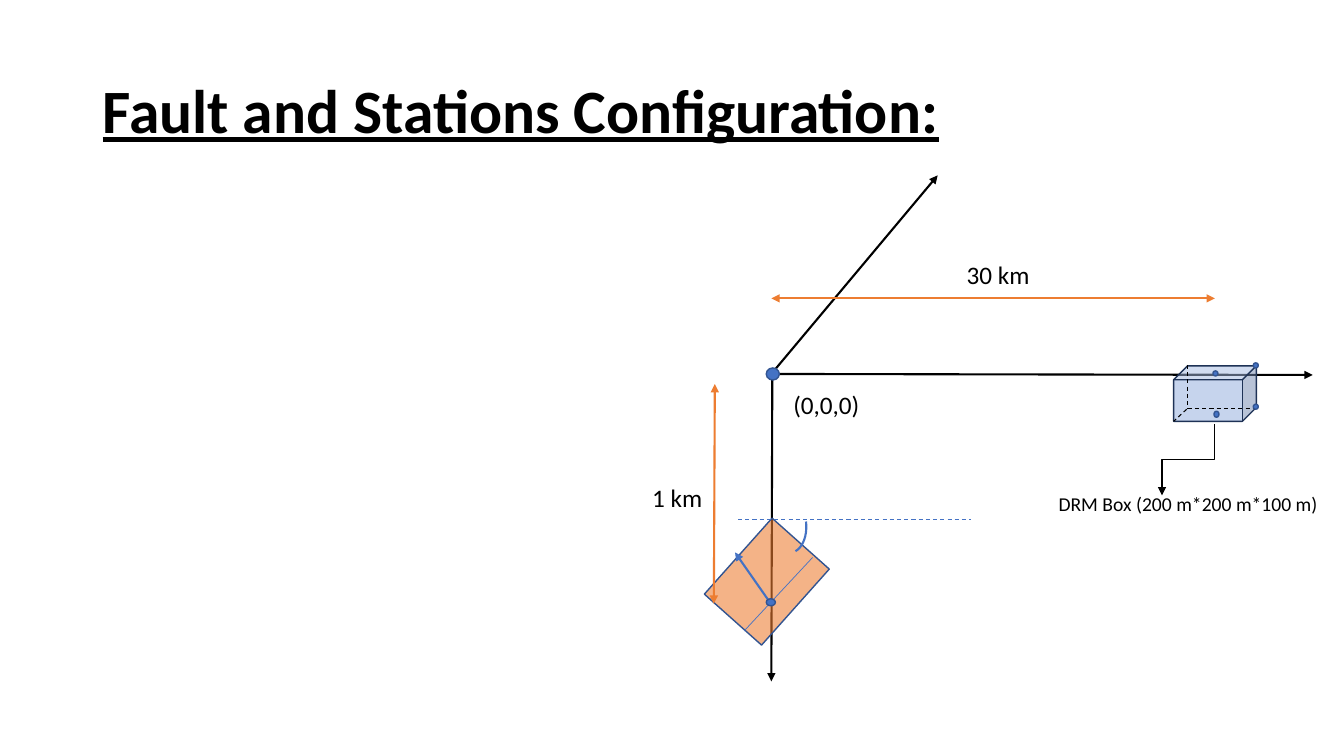
from lxml import etree
from pptx import Presentation
from pptx import util as u
from pptx.dml.color import RGBColor
from pptx.enum import dml, shapes, text
from pptx.oxml.ns import qn

BLACK = RGBColor(0x00, 0x00, 0x00)
BLUE = RGBColor(0x44, 0x72, 0xC4)
DARK_BLUE = RGBColor(0x32, 0x54, 0x91)
NAVY = RGBColor(0x1E, 0x32, 0x56)
PALE_BLUE = RGBColor(0x8F, 0xAA, 0xDC)
ORANGE = RGBColor(0xED, 0x7D, 0x31)

deck = Presentation()
deck.slide_width, deck.slide_height = u.Inches(13.33), u.Inches(7.5)
slide = deck.slides.add_slide(deck.slide_layouts[6])


def add_label(words, left, top, width, height, size=18, title=False):
    box = slide.shapes.add_textbox(*map(u.Inches, (left, top, width, height)))
    frame = box.text_frame
    frame.word_wrap = True
    if title:
        frame.vertical_anchor = text.MSO_ANCHOR.MIDDLE
        frame.paragraphs[0].line_spacing = 0.9
    else:
        frame.auto_size = text.MSO_AUTO_SIZE.SHAPE_TO_FIT_TEXT
    run = frame.paragraphs[0].add_run()
    run.text = words
    run.font.name = "Calibri"
    run.font.size = u.Pt(size)
    run.font.color.rgb = BLACK
    if title:
        run.font.bold = run.font.underline = True


def add_line(start, end, color, weight, ends=(), dashed=False,
             kind=shapes.MSO_CONNECTOR.STRAIGHT):
    line = slide.shapes.add_connector(kind, *map(u.Inches, (*start, *end)))
    line.line.color.rgb = color
    line.line.width = u.Pt(weight)
    if dashed:
        line.line.dash_style = dml.MSO_LINE.DASH
    outline = line.line._get_or_add_ln()
    for end_tag in ends:
        etree.SubElement(outline, qn(end_tag), type="triangle")
    etree.SubElement(line._element.spPr, qn("a:effectLst"))
    return line


ARROW = ("a:tailEnd",)
DOUBLE_ARROW = ("a:headEnd", "a:tailEnd")

for start, end in [((7.65, 3.71), (13.02, 3.72)),
                   ((7.65, 3.71), (9.3, 1.74)),
                   ((7.66, 3.72), (7.65, 6.76))]:
    add_line(start, end, BLACK, 1.5, ARROW)

KIND = shapes.MSO_SHAPE
for kind, place, turn, adjust, fill, alpha, edge, weight in [
    (KIND.CUBE, (11.64, 3.63, 0.82, 0.55), 0, (), PALE_BLUE, 50, NAVY, 1),
    (KIND.PARALLELOGRAM, (7.1, 5.39, 1.01, 0.76), 131.7, (0,), ORANGE, 58, DARK_BLUE, 1),
    (KIND.ARC, (7.52, 5.01, 0.58, 0.37), 83.4, (162, 210.23), None, None, BLUE, 1.5),
]:
    solid = slide.shapes.add_shape(kind, *map(u.Inches, place))
    solid.shadow.inherit = False
    solid.rotation = turn
    for index, value in enumerate(adjust):
        solid.adjustments[index] = value
    if fill is None:
        solid.fill.background()
    else:
        solid.fill.solid()
        solid.fill.fore_color.rgb = fill
        tint = solid._element.spPr.find(qn("a:solidFill"))[0]
        etree.SubElement(tint, qn("a:alpha"), val=str(alpha * 1000))
    solid.line.color.rgb = edge
    solid.line.width = u.Pt(weight)

add_line((7.32, 5.15), (9.63, 5.15), BLUE, 0.75, dashed=True)
add_line((7.38, 6.26), (8.06, 5.53), BLUE, 0.5)
add_line((7.66, 6.01), (7.29, 5.48), BLUE, 1.5, ARROW)
add_line((12.05, 2.96), (7.65, 2.96), ORANGE, 1.5, DOUBLE_ARROW)
add_line((7.09, 3.81), (7.08, 5.99), ORANGE, 1.5, DOUBLE_ARROW)

for start, end in [((11.78, 3.62), (11.78, 4.06)),
                   ((11.77, 4.06), (11.64, 4.18)),
                   ((11.78, 4.05), (12.47, 4.05))]:
    add_line(start, end, BLACK, 0.75, dashed=True)

for place in [(7.6, 3.65, 0.13, 0.12), (7.6, 5.94, 0.09, 0.07),
              (12.03, 3.68, 0.05, 0.05), (12.04, 4.08, 0.05, 0.06),
              (12.43, 3.6, 0.05, 0.05), (12.43, 4.01, 0.05, 0.05)]:
    station = slide.shapes.add_shape(KIND.OVAL, *map(u.Inches, place))
    station.shadow.inherit = False
    station.fill.solid()
    station.fill.fore_color.rgb = BLUE
    station.line.color.rgb = DARK_BLUE
    station.line.width = u.Pt(1)

box_pointer = add_line((11.43, 4.3), (12.14, 4.82), BLACK, 1, ARROW,
                       kind=shapes.MSO_CONNECTOR.ELBOW)
box_pointer._element.spPr.find(qn("a:xfrm")).set("rot", str(90 * 60000))

add_label("30 km", 9.49, 2.52, 0.96, 0.4)
add_label("1 km", 6.37, 4.74, 0.91, 0.4)
add_label("(0,0,0)", 7.77, 3.81, 1.07, 0.4)
add_label("DRM Box (200 m*200 m*100 m)", 10.4, 4.83, 2.92, 0.34, size=14)
add_label("Fault and Stations Configuration:", 0.92, 0.4, 11.5, 1.45, size=44, title=True)

deck.save("out.pptx")
